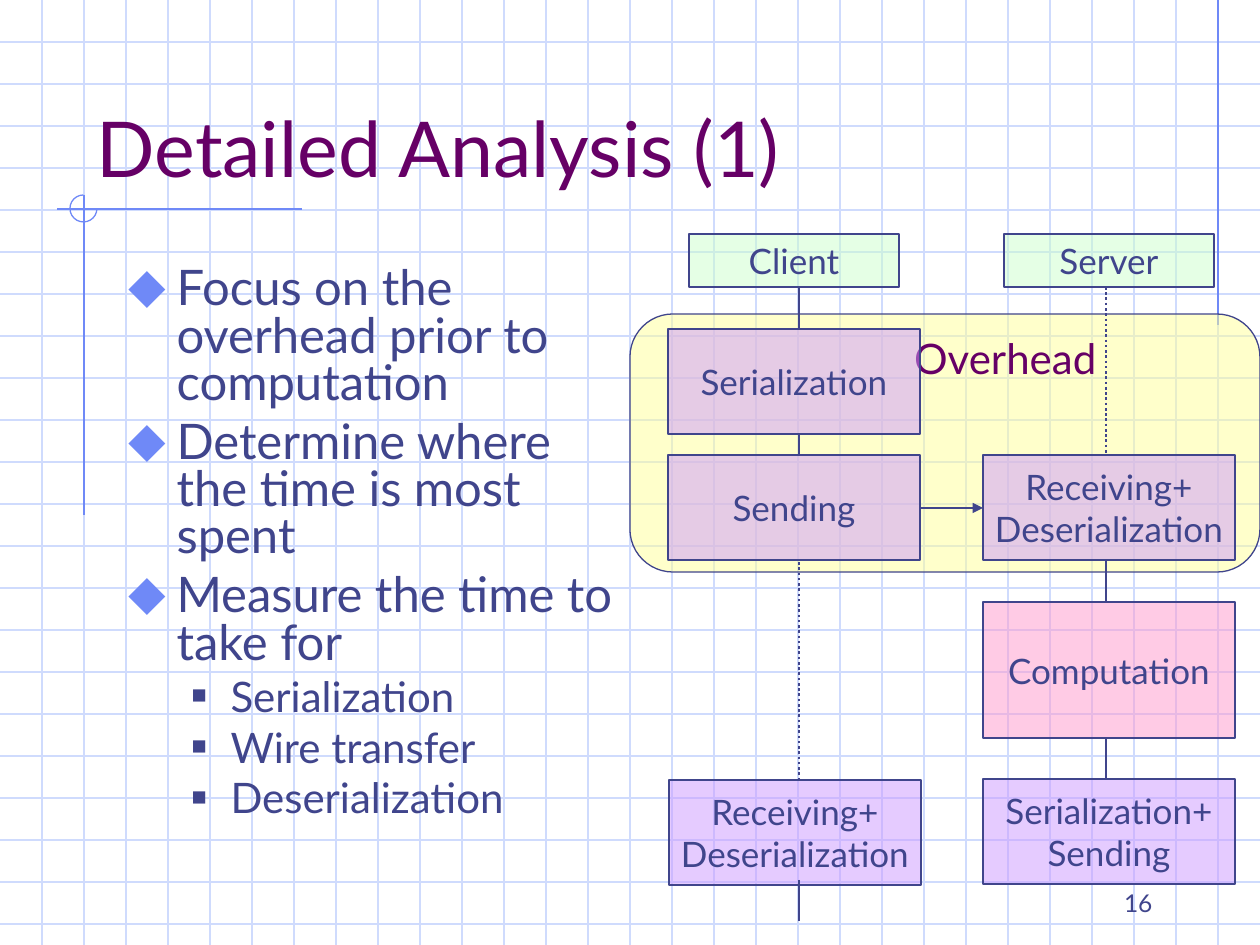
from lxml import etree
from pptx import Presentation
from pptx import util as u
from pptx.dml.color import RGBColor
from pptx.enum import dml, shapes, text
from pptx.oxml.ns import qn

PX = 914400 / 126
W, H, GRID = 1260, 945, 42
FONT = "Lato"
C = {"ink": "40458C", "title": "660066", "grid": "CFDBFD", "accent": "6F89F7",
     "head": "CCFFCC", "step": "CC99FF", "compute": "FF99CC", "band": "FFFF99"}

HEADS = [("Client", 59), ("Server", 374)]
STEPS = [("Serialization", 38, 95, 105, "step"),
         ("Sending", 38, 221, 105, "step"),
         ("Receiving+\vDeserialization", 353, 221, 105, "step"),
         ("Computation", 353, 368, 136, "compute"),
         ("Serialization+\nSending", 353, 545, 105, "step"),
         ("Receiving+\nDeserialization", 39, 546, 105, "step")]
LINKS = [(169, 53, 95, False), (169, 200, 221, False), (169, 328, 546, True),
         (169, 646, 687, False), (476, 53, 221, True), (476, 326, 368, False),
         (476, 504, 546, False)]
BULLETS = [(0, "Focus on the overhead prior to computation"),
           (0, "Determine where the time is most spent"),
           (0, "Measure the time to take for"),
           (1, "Serialization"), (1, "Wire transfer"), (1, "Deserialization")]
LEVELS = [{"size": 28, "before": 7, "left": 48, "hang": 48, "char": "⬥", "color": "accent", "pct": 110},
          {"size": 24, "before": 6, "left": 102, "hang": 39, "char": "■", "color": "ink", "pct": 60}]


def px(n):
    """Convert pixels to EMU."""
    return u.Emu(round(n * PX))


def rgb(name):
    """Look up a named colour."""
    return RGBColor.from_string(C[name])


def sub(parent, tag, **attrs):
    """Append a DrawingML child element."""
    return etree.SubElement(parent, qn(tag), attrs)


def style(p, size, color="ink", align=text.PP_ALIGN.LEFT):
    """Set the font and alignment of a paragraph."""
    p.alignment = align
    p.font.name, p.font.size = FONT, u.Pt(size)
    p.font.color.rgb = rgb(color)


def frame(sp, anchor, wrap=True):
    """Set the margins, anchor and wrapping of a shape's text."""
    tf = sp.text_frame
    tf.auto_size = text.MSO_AUTO_SIZE.NONE
    tf.word_wrap, tf.vertical_anchor = wrap, anchor
    tf.margin_left = tf.margin_right = u.Inches(0.1)
    tf.margin_top = tf.margin_bottom = u.Inches(0.05)
    return tf


def line(s, x1, y1, x2, y2, color="ink", width=1.5, dotted=False, arrow=False):
    """Draw a straight connector."""
    cx = s.shapes.add_connector(shapes.MSO_CONNECTOR.STRAIGHT, px(x1), px(y1), px(x2), px(y2))
    cx.line.color.rgb, cx.line.width = rgb(color), u.Pt(width)
    if dotted:
        cx.line.dash_style = dml.MSO_LINE.ROUND_DOT
    if arrow:
        sub(cx.line._get_or_add_ln(), "a:tailEnd", type="triangle")
    sub(cx._element.spPr, "a:effectLst")


def panel(s, kind, x, y, w, h, fill):
    """Draw a half-transparent outlined shape."""
    sp = s.shapes.add_shape(kind, px(x), px(y), px(w), px(h))
    sp.shadow.inherit = False
    sp.fill.solid()
    sp.fill.fore_color.rgb = rgb(fill)
    sub(sp._element.spPr.find(".//" + qn("a:srgbClr")), "a:alpha", val="50000")
    sp.line.color.rgb, sp.line.width = rgb("ink"), u.Pt(0.75)
    return sp


def node(s, label, x, y, w, h, fill):
    """Draw a labelled flow box."""
    sp = panel(s, shapes.MSO_SHAPE.RECTANGLE, x, y, w, h, fill)
    tf = frame(sp, text.MSO_ANCHOR.MIDDLE, wrap=False)
    tf.text = label
    for p in tf.paragraphs:
        style(p, 20, align=text.PP_ALIGN.CENTER)


def backdrop(s):
    """Draw the grid paper and the corner rules."""
    for y in range(GRID, H, GRID):
        line(s, 0, y, W, y, "grid", 0.75)
    for x in range(GRID, W, GRID):
        line(s, x, 0, x, H, "grid", 0.75)
    for ends in [(1218, 0, 1218, 325), (302, 209, 57, 209), (84, 195, 84, 515)]:
        line(s, *ends, "accent", 0.75)
    arc = s.shapes.add_shape(shapes.MSO_SHAPE.ARC, px(70), px(195), px(27), px(27))
    arc.adjustments[0], arc.adjustments[1] = 0, 162
    arc.shadow.inherit = False
    arc.fill.background()
    arc.line.color.rgb, arc.line.width = rgb("accent"), u.Pt(0.75)


def place(s, sp, x, y, w, h):
    """Bring a placeholder to the front and set its box."""
    s.shapes._spTree.append(sp._element)
    sp.left, sp.top, sp.width, sp.height = px(x), px(y), px(w), px(h)


def title(s, label, *box):
    """Fill the title placeholder."""
    sp = s.shapes.title
    place(s, sp, *box)
    tf = frame(sp, text.MSO_ANCHOR.BOTTOM)
    tf.text = label
    style(tf.paragraphs[0], 44, "title")


def body(s, items, *box):
    """Fill the body placeholder with a two-level list."""
    sp = s.placeholders[1]
    place(s, sp, *box)
    tf = frame(sp, text.MSO_ANCHOR.TOP)
    tf.text = "\n".join(label for _, label in items)
    for i, (p, (level, _)) in enumerate(zip(tf.paragraphs, items)):
        look = LEVELS[level]
        p.level, p.line_spacing = level, 0.8
        p.space_before = u.Pt(look["before"] if i else 0)
        pPr = p._p.get_or_add_pPr()
        pPr.set("marL", str(px(look["left"])))
        pPr.set("indent", str(-px(look["hang"])))
        sub(sub(pPr, "a:buClr"), "a:srgbClr", val=C[look["color"]])
        sub(pPr, "a:buSzPct", val=str(look["pct"] * 1000))
        sub(pPr, "a:buChar", char=look["char"])
        style(p, look["size"])


def flow(s, x, y, w):
    """Draw the client and server sequence with its overhead band."""
    band = panel(s, shapes.MSO_SHAPE.ROUNDED_RECTANGLE, x, y + 80, w, 258, "band")
    tf = frame(band, text.MSO_ANCHOR.TOP, wrap=False)
    tf.margin_left = px(133)
    tf.text = "Overhead"
    style(tf.paragraphs[0], 24, "title", text.PP_ALIGN.CENTER)
    for label, dx in HEADS:
        node(s, label, x + dx, y, 210, 53, "head")
    for label, dx, dy, h, fill in STEPS:
        node(s, label, x + dx, y + dy, 252, h, fill)
    for dx, top, bottom, dotted in LINKS:
        line(s, x + dx, y + top, x + dx, y + bottom, dotted=dotted)
    line(s, x + 290, y + 274, x + 353, y + 274, arrow=True)


def page_number(s, label, x, y, w, h):
    """Write the page number."""
    sp = s.shapes.add_textbox(px(x), px(y), px(w), px(h))
    tf = frame(sp, text.MSO_ANCHOR.BOTTOM)
    tf.text = label
    style(tf.paragraphs[0], 14, align=text.PP_ALIGN.RIGHT)


def main():
    """Build the slide and save it."""
    prs = Presentation()
    prs.slide_width, prs.slide_height = px(W), px(H)
    s = prs.slides.add_slide(prs.slide_layouts[1])
    backdrop(s)
    title(s, "Detailed Analysis (1)", 84, 42, 1071, 157)
    body(s, BULLETS, 116, 262, 514, 567)
    flow(s, 630, 234, 630)
    page_number(s, "16", 903, 861, 262, 63)
    prs.save("out.pptx")


if __name__ == "__main__":
    main()
